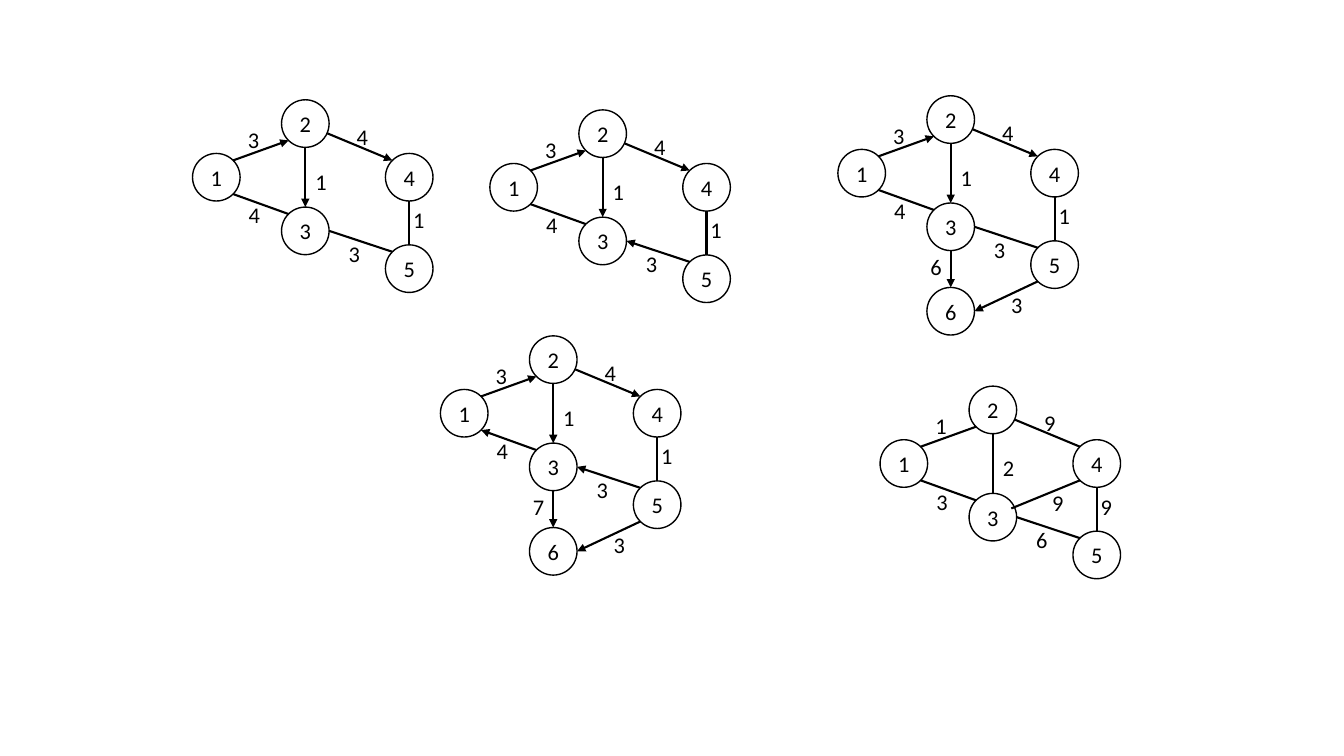
from dataclasses import dataclass
from math import cos, radians, sin

from lxml import etree
from pptx import Presentation
from pptx import util as u
from pptx.dml.color import RGBColor
from pptx.enum import shapes, text
from pptx.oxml.ns import qn


@dataclass(frozen=True)
class Theme:
    ink: RGBColor = RGBColor(0, 0, 0)
    font: str = "Calibri"
    size: float = 16
    node_line: float = 1
    edge_line: float = 1.5


THEME = Theme()
DIAMETER = 34
LABEL_SIZE = (23, 26.6)

# Top-left corner of each vertex, from the graph's origin
VERTICES = {1: (0, 38.3), 2: (63.6, 0), 3: (63.6, 76.6),
            4: (137.8, 38.3), 5: (137.8, 103.6), 6: (63.6, 136.9)}

# Connection sites of an ellipse, counter-clockwise from the top
TOP, TOP_LEFT, LEFT, BOTTOM_LEFT, BOTTOM, BOTTOM_RIGHT, RIGHT, TOP_RIGHT = range(8)

# Edge: (start, end, weight's corner); a start or end is a site
# or a free offset from the vertex's corner
ROUTES = {
    (2, 3): (BOTTOM, TOP, (80.6, 45.4)),
    (1, 3): (BOTTOM_RIGHT, TOP_LEFT, (33.1, 69.1)),
    (4, 5): (BOTTOM, TOP, (150.5, 72.7)),
    (3, 5): (RIGHT, TOP_LEFT, (104.4, 96.5)),
    (1, 2): (TOP_RIGHT, BOTTOM_LEFT, (32.4, 15.1)),
    (2, 4): ((32.8, 24), TOP_LEFT, (110.2, 13)),
    (5, 6): (BOTTOM_LEFT, RIGHT, (116.6, 136.1)),
    (3, 6): (BOTTOM, TOP, (59, 108.7)),
    (3, 4): ((30.2, 10.8), BOTTOM_LEFT, (115.9, 69.8)),
}

# Each graph: origin, then weight and direction of each edge
BASE = {(2, 3): "1>", (1, 3): "4", (4, 5): "1", (3, 5): "3",
        (1, 2): "3>", (2, 4): "4>"}
GRAPHS = [
    ((137.5, 71.3), BASE),
    ((349.9, 78.5), BASE | {(3, 5): "3<"}),
    ((598.5, 68.4), BASE | {(5, 6): "3>", (3, 6): "6>"}),
    ((314.6, 239.9), BASE | {(1, 3): "4<", (3, 5): "3<",
                             (5, 6): "3>", (3, 6): "7>"}),
    ((628.6, 275.8), {(2, 3): "2", (1, 3): "3", (4, 5): "9", (3, 5): "6",
                      (1, 2): "1", (2, 4): "9", (3, 4): "9"}),
]


def shift(origin, offset):
    return origin[0] + offset[0], origin[1] + offset[1]


def points(*lengths):
    return [u.Pt(length) for length in lengths]


def write(frame, wording, align):
    paragraph = frame.paragraphs[0]
    paragraph.text = wording
    paragraph.alignment = align
    paragraph.font.name = THEME.font
    paragraph.font.size = u.Pt(THEME.size)
    paragraph.font.color.rgb = THEME.ink


def add_vertex(slide, number, corner):
    vertex = slide.shapes.add_shape(
        shapes.MSO_SHAPE.OVAL, *points(*corner, DIAMETER, DIAMETER))
    vertex.shadow.inherit = False
    vertex.fill.background()
    vertex.line.color.rgb = THEME.ink
    vertex.line.width = u.Pt(THEME.node_line)
    vertex.text_frame.vertical_anchor = text.MSO_ANCHOR.MIDDLE
    write(vertex.text_frame, str(number), text.PP_ALIGN.CENTER)
    return vertex


def anchor(corner, place):
    """Point on a vertex for a connection site or a free offset."""
    if isinstance(place, tuple):
        return shift(corner, place)
    radius, angle = DIAMETER / 2, radians(90 + 45 * place)
    return shift(corner, (radius * (1 + cos(angle)), radius * (1 - sin(angle))))


def add_edge(slide, ends, corners, places, direction):
    start, end = map(anchor, corners, places)
    edge = slide.shapes.add_connector(
        shapes.MSO_CONNECTOR.STRAIGHT, *points(*start, *end))
    edge.line.color.rgb = THEME.ink
    edge.line.width = u.Pt(THEME.edge_line)
    properties = edge._element.spPr
    etree.SubElement(properties, qn("a:effectLst"))
    # Arrowhead
    if direction:
        tag = "a:tailEnd" if direction == ">" else "a:headEnd"
        etree.SubElement(properties.find(qn("a:ln")), qn(tag), type="triangle")
    # Glue to the vertices; an ellipse has eight sites
    glue = edge._element.find(".//" + qn("p:cNvCxnSpPr"))
    for tag, vertex, place in zip(("a:stCxn", "a:endCxn"), ends, places):
        if isinstance(place, int):
            etree.SubElement(glue, qn(tag), id=str(vertex.shape_id), idx=str(place))


def add_weight(slide, weight, corner):
    label = slide.shapes.add_textbox(*points(*corner, *LABEL_SIZE))
    label.text_frame.word_wrap = False
    label.text_frame.auto_size = text.MSO_AUTO_SIZE.SHAPE_TO_FIT_TEXT
    write(label.text_frame, weight, text.PP_ALIGN.LEFT)


def add_graph(slide, origin, edges):
    numbers = sorted({number for pair in edges for number in pair})
    corners = {number: shift(origin, VERTICES[number]) for number in numbers}
    vertices = {number: add_vertex(slide, number, corners[number])
                for number in numbers}
    for pair, (weight, *direction) in edges.items():
        *places, label_offset = ROUTES[pair]
        add_edge(slide, [vertices[number] for number in pair],
                 [corners[number] for number in pair], places,
                 "".join(direction))
        add_weight(slide, weight, shift(origin, label_offset))


def main():
    deck = Presentation()
    deck.slide_width, deck.slide_height = points(960, 540)
    slide = deck.slides.add_slide(deck.slide_layouts[6])
    for origin, edges in GRAPHS:
        add_graph(slide, origin, edges)
    deck.save("out.pptx")


main()
